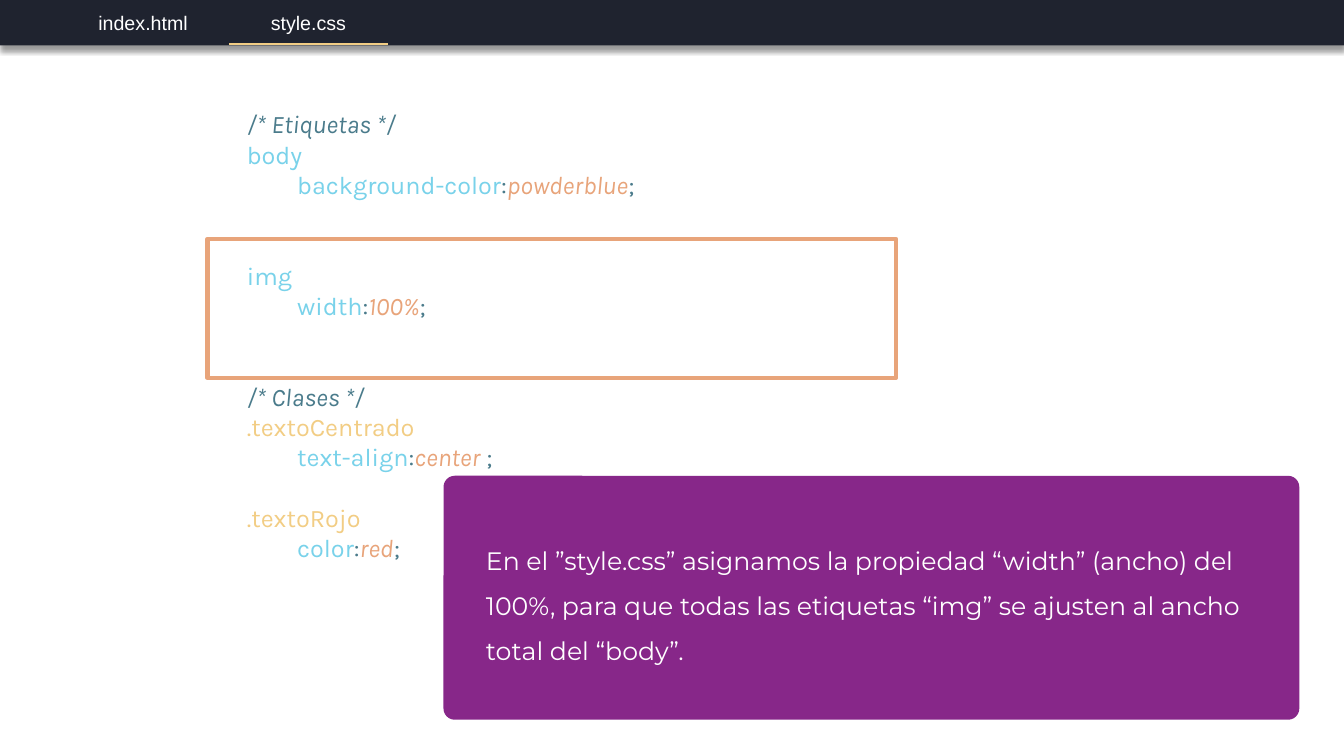
from lxml import etree
from pptx import Presentation
from pptx.dml.color import RGBColor
from pptx.enum.shapes import MSO_CONNECTOR, MSO_SHAPE
from pptx.enum.text import MSO_ANCHOR, PP_ALIGN
from pptx.oxml.ns import qn
from pptx.util import Pt

RECT, ROUND = MSO_SHAPE.RECTANGLE, MSO_SHAPE.ROUNDED_RECTANGLE
LINE, MIDDLE, CENTER = MSO_CONNECTOR.STRAIGHT, MSO_ANCHOR.MIDDLE, PP_ALIGN.CENTER

HUES = {
    "note": "4A7B8B", "tag": "79D2EA", "value": "E8A47A", "class": "F2CD84",
    "bar": "1F232F", "panel": "872789", "white": "FFFFFF", "black": "000000",
}
TABS = ["index.html", "style.css"]
# Each line: indent level, empty lines above, runs of (text, colour, italic)
CODE = [
    (0, 0, [("/* Etiquetas */", "note", True)]),
    (0, 0, [("body", "tag", False)]),
    (1, 0, [("background-color", "tag", False), (":", "note", False),
            ("powderblue", "value", True), (";", "note", False)]),
    (0, 2, [("img", "tag", False)]),
    (1, 0, [("width", "tag", False), (":", "note", False),
            ("100%", "value", True), (";", "note", False)]),
    (0, 2, [("/* Clases */", "note", True)]),
    (0, 0, [(".textoCentrado", "class", False)]),
    (1, 0, [("text-align", "tag", False), (":", "note", False),
            ("center", "value", True), (" ;", "note", False)]),
    (0, 1, [(".textoRojo", "class", False)]),
    (1, 0, [("color", "tag", False), (":", "note", False),
            ("red", "value", True), (";", "note", False)]),
]
TIP = ("En el ”style.css” asignamos la propiedad “width” (ancho) del 100%, "
       "para que todas las etiquetas “img” se ajusten al ancho total del “body”.")

WIDE, HIGH = 960, 540
ROW = 21.6
INDENT, STEP = 108, 36
TAB_X, TAB_W, TAB_GAP = 45.36, 113.76, 118.08


def tint(name):
    return RGBColor.from_string(HUES[name])


def style(para, face, size, hue=None):
    para.font.name, para.font.size = face, Pt(size)
    if hue:
        para.font.color.rgb = tint(hue)


def add_box(slide, kind, x, y, w, h, fill=None, edge=None):
    box = slide.shapes.add_shape(kind, Pt(x), Pt(y), Pt(w), Pt(h))
    box.shadow.inherit = False
    if fill:
        box.fill.solid()
        box.fill.fore_color.rgb = tint(fill)
    else:
        box.fill.background()
    if edge:
        box.line.color.rgb = tint(edge)
        box.line.width = Pt(3)
    else:
        box.line.fill.background()
    return box


def add_text(slide, x, y, w, h):
    frame = slide.shapes.add_textbox(Pt(x), Pt(y), Pt(w), Pt(h)).text_frame
    frame.word_wrap = True
    return frame


def drop_shade(box):
    """Cast a soft black shadow straight down."""
    list_ = box._element.spPr.find(qn("a:effectLst"))
    shade = etree.SubElement(list_, qn("a:outerShdw"), blurRad=str(Pt(4)),
                             dist=str(Pt(3)), dir="5400000", algn="t", rotWithShape="0")
    hue = etree.SubElement(shade, qn("a:srgbClr"), val=HUES["black"])
    etree.SubElement(hue, qn("a:alpha"), val="40000")


def add_code(slide):
    frame = add_text(slide, 61.2, 74.16, 848.88, 356.4)
    for i, (level, gap, runs) in enumerate(CODE):
        para = frame.add_paragraph() if i else frame.paragraphs[0]
        props = para._p.get_or_add_pPr()
        props.set("marL", str(Pt(INDENT + level * STEP)))
        props.set("indent", "0")
        if gap:
            para.space_before = Pt(gap * ROW)
        style(para, "Karla", 18)
        for text, hue, slant in runs:
            run = para.add_run()
            run.text = text
            run.font.color.rgb = tint(hue)
            run.font.italic = slant


def add_tabs(slide):
    drop_shade(add_box(slide, RECT, 0, 0, WIDE, 32.4, "bar"))
    for i, name in enumerate(TABS):
        para = add_text(slide, TAB_X + i * TAB_GAP, 4.32, TAB_W, 24.48).paragraphs[0]
        para.text = name
        para.alignment = CENTER
        style(para, "Arial", 14, "white")
    left = TAB_X + TAB_GAP
    rule = slide.shapes.add_connector(LINE, Pt(left), Pt(31.68), Pt(left + TAB_W), Pt(31.68))
    rule.line.color.rgb = tint("class")
    rule.line.width = Pt(1.25)
    etree.SubElement(rule._element.spPr, qn("a:effectLst"))


def add_tip(slide):
    box = add_box(slide, ROUND, 316.8, 339.84, 611.28, 174.24, "panel")
    box.adjustments[0] = 0.046
    frame = box.text_frame
    frame.word_wrap = True
    frame.vertical_anchor = MIDDLE
    frame.margin_left = frame.margin_right = Pt(28)
    frame.margin_top = frame.margin_bottom = Pt(8.64)
    para = frame.paragraphs[0]
    para.text = TIP
    para.alignment = PP_ALIGN.LEFT
    para.line_spacing = 1.5
    style(para, "Montserrat", 18, "white")


def main():
    deck = Presentation()
    deck.slide_width, deck.slide_height = Pt(WIDE), Pt(HIGH)
    slide = deck.slides.add_slide(deck.slide_layouts[6])
    add_code(slide)
    add_box(slide, RECT, 148.32, 170.64, 491.76, 99.36, edge="value")
    add_tabs(slide)
    add_tip(slide)
    deck.save("out.pptx")


if __name__ == "__main__":
    main()
